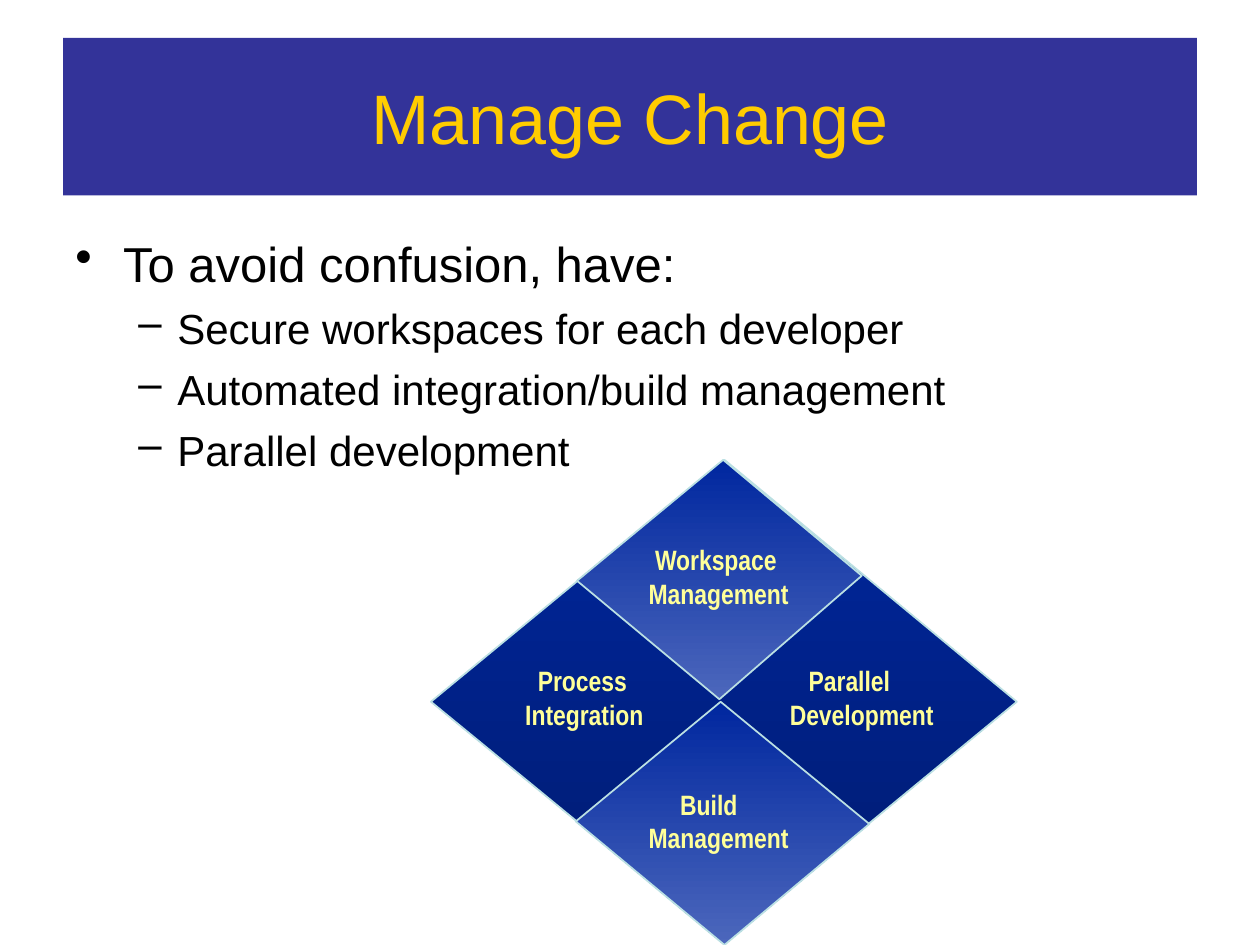
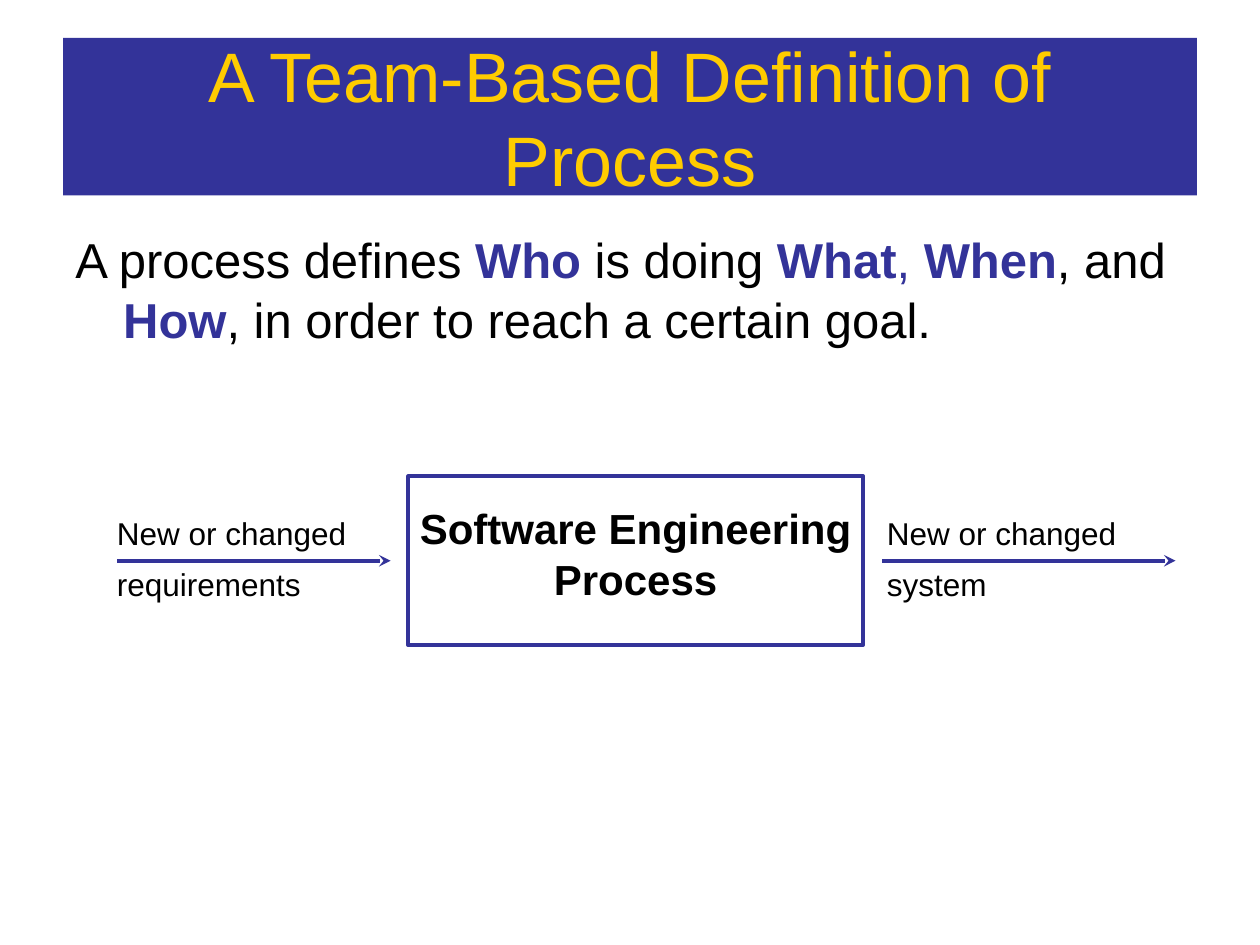
from lxml.etree import SubElement
from pptx import Presentation
from pptx.dml.color import RGBColor
from pptx.enum.shapes import MSO_CONNECTOR, MSO_SHAPE
from pptx.enum.text import MSO_ANCHOR, MSO_AUTO_SIZE, PP_ALIGN
from pptx.oxml.ns import qn
from pptx.util import Inches, Pt

COLORS = {
    "band": "333399", "title": "FFCC00", "text": "000000",
    "edge": "BBE0E3", "label": "FFFF99",
    "navy": "00279F", "deep": "001B6F", "light": "4C67BC",
}
BODY = (0.5, 1.75, 9, 2.39)

CHANGE_TITLE = "Manage Change"
CHANGE_POINTS = [
    (0, "To avoid confusion, have:"),
    (1, "Secure workspaces for each developer"),
    (1, "Automated integration/build management"),
    (1, "Parallel development"),
]
POINT_LEVELS = [
    {"bullet": "•", "margin": 0.38, "hanging": 0.38, "size": 28},
    {"bullet": "–", "margin": 0.81, "hanging": 0.31, "size": 24},
]
DIAMONDS = [
    ("deep", [(3.42, 5.57), (5.75, 3.65), (8.07, 5.57), (5.75, 7.48)]),
    ("light", [(4.58, 4.61), (5.74, 3.65), (6.84, 4.57), (5.71, 5.55)]),
    ("light", [(4.57, 6.52), (5.72, 5.57), (6.9, 6.54), (5.75, 7.5)]),
]
DIAMOND_LABELS = [
    ((5.05, 4.26, 1.31, 0.64), 0.05, ("Workspace", "Management")),
    ((4.07, 5.22, 1.14, 0.64), 0.1, ("Process", "Integration")),
    ((6.17, 5.22, 1.34, 0.64), 0.15, ("Parallel", "Development")),
    ((5.05, 6.2, 1.32, 0.64), 0.25, ("Build", "Management")),
]

PROCESS_TITLE = "A Team-Based Definition of Process"
PROCESS_DEFINITION = [
    ("A process defines ", "text", False), ("Who", "band", True),
    (" is doing ", "text", False), ("What", "band", True),
    (", ", "band", False), ("When", "band", True),
    (", and ", "text", False), ("How", "band", True),
    (", in order to reach a certain goal.", "text", False),
]
PROCESS_FRAME = (3.24, 3.78, 3.61, 1.34)
PROCESS_LABELS = [
    ((0.83, 4.05, 2.02, 0.78), ("New or changed", "requirements"), 18, False, PP_ALIGN.LEFT),
    ((6.94, 4.05, 2.02, 0.78), ("New or changed", "system"), 18, False, PP_ALIGN.LEFT),
    ((3.23, 4.06, 3.63, 0.78), ("Software Engineering", "Process"), 24, True, PP_ALIGN.CENTER),
]
ARROW_SPANS = [(0.93, 3.1), (7, 9.33)]
ARROW_HEIGHT = 4.45


def color(name):
    return RGBColor.from_string(COLORS[name])


def lengths(values):
    return [Inches(value) for value in values]


def style(font, size, color_name="text", bold=False, name="Arial"):
    font.name, font.size, font.bold = name, Pt(size), bold
    font.color.rgb = color(color_name)


def set_indent(para, margin, first_line):
    properties = para._p.get_or_add_pPr()
    properties.set("marL", str(Inches(margin)))
    properties.set("indent", str(Inches(first_line)))
    return properties


def add_page(deck, heading):
    page = deck.slides.add_slide(deck.slide_layouts[5])
    title = page.shapes.title
    title.left, title.top, title.width, title.height = lengths((0.5, 0.3, 9, 1.25))
    title.fill.solid()
    title.fill.fore_color.rgb = color("band")
    frame = title.text_frame
    frame.text = heading
    frame.auto_size = MSO_AUTO_SIZE.NONE
    frame.vertical_anchor = MSO_ANCHOR.MIDDLE
    para = frame.paragraphs[0]
    para.alignment = PP_ALIGN.CENTER
    style(para.font, 40, "title")
    return page


def add_text(page, place, lines, wrap=False):
    frame = page.shapes.add_textbox(*lengths(place)).text_frame
    frame.word_wrap = wrap
    frame.text = "\n".join(lines)
    return frame


def add_diamond(page, end_color, corners):
    points = [tuple(lengths(corner)) for corner in corners]
    builder = page.shapes.build_freeform(*points[0])
    builder.add_line_segments(points[1:], close=True)
    diamond = builder.convert_to_shape()
    diamond.shadow.inherit = False
    diamond.fill.gradient()
    diamond.fill.gradient_angle = 270
    for stop, name, position in zip(diamond.fill.gradient_stops, ("navy", end_color), (0, 1)):
        stop.color.rgb = color(name)
        stop.position = position
    diamond.line.color.rgb = color("edge")
    diamond.line.width = Pt(1)


def add_arrow(page, start, end):
    arrow = page.shapes.add_connector(
        MSO_CONNECTOR.STRAIGHT, *lengths((start, ARROW_HEIGHT, end, ARROW_HEIGHT)))
    arrow.line.color.rgb = color("band")
    arrow.line.width = Pt(2.25)
    SubElement(arrow.line._get_or_add_ln(), qn("a:tailEnd"), type="stealth")
    SubElement(arrow._element.spPr, qn("a:effectLst"))


def build_change_page(deck):
    page = add_page(deck, CHANGE_TITLE)
    body = add_text(page, BODY, [text for _, text in CHANGE_POINTS], wrap=True)
    body.margin_top = Inches(0.1)
    for index, (para, (depth, _)) in enumerate(zip(body.paragraphs, CHANGE_POINTS)):
        level = POINT_LEVELS[depth]
        para.level = depth
        properties = set_indent(para, level["margin"], -level["hanging"])
        SubElement(properties, qn("a:buChar"), char=level["bullet"])
        para.space_before = Pt(6 if index else 0)
        style(para.font, level["size"])
    for end_color, corners in DIAMONDS:
        add_diamond(page, end_color, corners)
    for place, first_margin, lines in DIAMOND_LABELS:
        label = add_text(page, place, lines)
        set_indent(label.paragraphs[0], first_margin, 0)
        for para in label.paragraphs:
            style(para.font, 16, "label", True, "Arial Narrow")


def build_process_page(deck):
    page = add_page(deck, PROCESS_TITLE)
    body = add_text(page, BODY, [], wrap=True)
    body.margin_top = Inches(0.07)
    definition = body.paragraphs[0]
    set_indent(definition, 0.38, -0.38)
    definition.line_spacing = Pt(34)
    for text, color_name, bold in PROCESS_DEFINITION:
        span = definition.add_run()
        span.text = text
        style(span.font, 28, color_name, bold)
    box = page.shapes.add_shape(MSO_SHAPE.RECTANGLE, *lengths(PROCESS_FRAME))
    box.shadow.inherit = False
    box.fill.background()
    box.line.color.rgb = color("band")
    box.line.width = Pt(2.25)
    for place, lines, size, bold, alignment in PROCESS_LABELS:
        label = add_text(page, place, lines)
        for index, para in enumerate(label.paragraphs):
            para.alignment = alignment
            para.line_spacing = Pt(20)
            para.space_before = Pt(9 if index else 0)
            style(para.font, size, bold=bold)
    for start, end in ARROW_SPANS:
        add_arrow(page, start, end)


def main():
    deck = Presentation()
    deck.slide_width, deck.slide_height = lengths((10, 7.5))
    build_change_page(deck)
    build_process_page(deck)
    deck.save("out.pptx")


if __name__ == "__main__":
    main()
